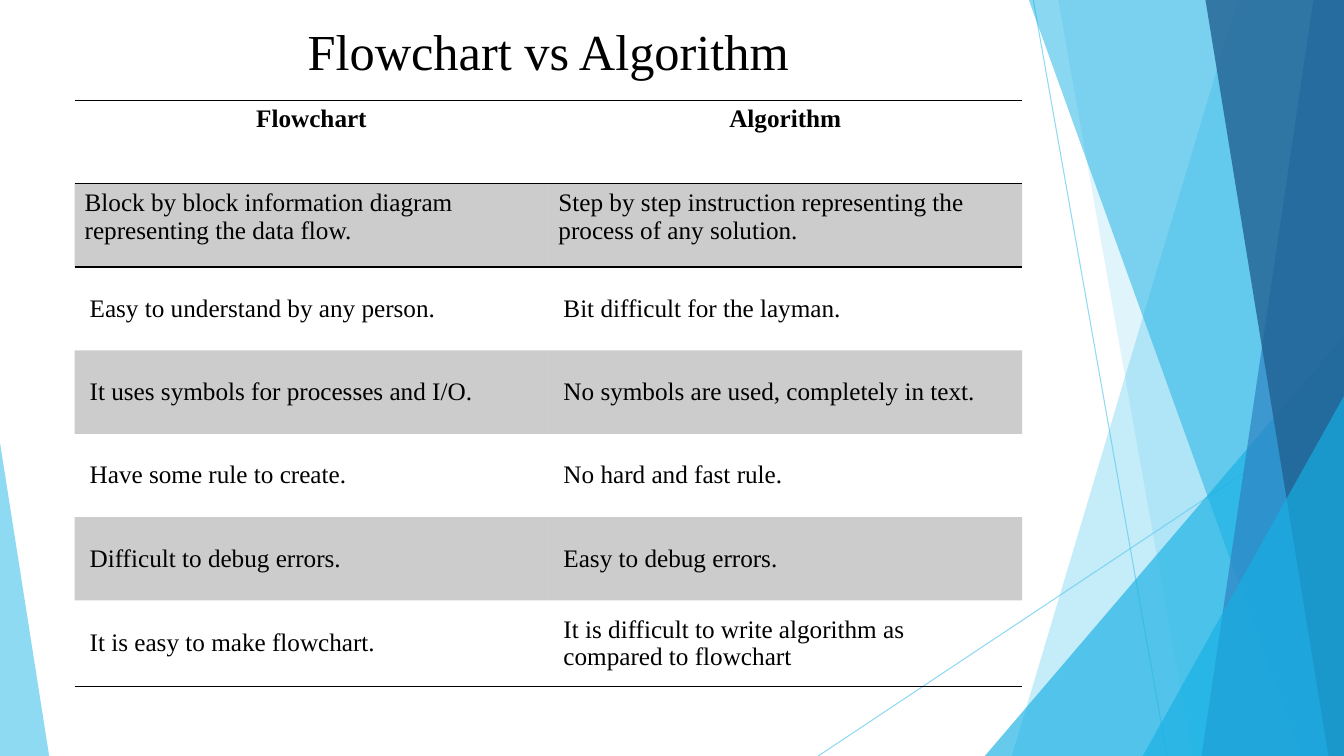
import dataclasses

import lxml.etree
import pptx
import pptx.dml.color
import pptx.enum.shapes
import pptx.enum.text
import pptx.oxml.ns
import pptx.util

Cm = pptx.util.Cm
qualified = pptx.oxml.ns.qn
Align = pptx.enum.text.PP_ALIGN
Anchor = pptx.enum.text.MSO_ANCHOR

SLIDE_WIDTH, SLIDE_HEIGHT = 33.87, 19.05
PLAIN_TABLE_STYLE = "{2D5ABB26-0587-4C30-8999-92F81FD0307C}"


@dataclasses.dataclass(frozen=True)
class Theme:
    font: str = "Times New Roman"
    title_size: int = 36
    table_size: int = 18
    ink: str = "000000"
    sky: str = "5FCBEF"
    cyan: str = "17B0E4"
    blue: str = "2E83C3"
    navy: str = "226292"
    shade_opacity: int = 20
    facet_line: float = 0.75
    table_line: float = 1


def rgb(color):
    return pptx.dml.color.RGBColor.from_string(color)


def set_opacity(element, percent):
    for color in element.iter(qualified("a:srgbClr")):
        alpha = lxml.etree.SubElement(color, qualified("a:alpha"))
        alpha.set("val", str(percent * 1000))


def write_text(frame, text, *, font, size, color, bold=False, align=Align.LEFT,
               anchor=Anchor.TOP):
    frame.word_wrap = True
    frame.vertical_anchor = anchor
    paragraph = frame.paragraphs[0]
    paragraph.alignment = align
    run = paragraph.add_run()
    run.text = text
    run.font.name = font
    run.font.size = pptx.util.Pt(size)
    run.font.bold = bold
    run.font.color.rgb = rgb(color)


class SlideBuilder:
    def __init__(self, slide, theme):
        self.slide = slide
        self.theme = theme

    def paint(self, shape, color, opacity):
        shape.shadow.inherit = False
        shape.line.fill.background()
        shape.fill.solid()
        shape.fill.fore_color.rgb = rgb(color)
        set_opacity(shape.fill._xPr, opacity)

    def line(self, start, end, color, opacity):
        connector = self.slide.shapes.add_connector(
            pptx.enum.shapes.MSO_CONNECTOR.STRAIGHT, *map(Cm, start + end))
        connector.line.color.rgb = rgb(color)
        connector.line.width = pptx.util.Pt(self.theme.facet_line)
        properties = connector._element.spPr
        set_opacity(properties, opacity)
        lxml.etree.SubElement(properties, qualified("a:effectLst"))

    def band(self, top_left, bottom_left, color, opacity):
        corners = [(SLIDE_WIDTH, 0), (SLIDE_WIDTH, SLIDE_HEIGHT), (bottom_left, SLIDE_HEIGHT)]
        outline = self.slide.shapes.build_freeform(Cm(top_left), 0)
        outline.add_line_segments([(Cm(x), Cm(y)) for x, y in corners])
        self.paint(outline.convert_to_shape(), color, opacity)

    def triangle(self, left, width, height, apex, color, opacity):
        shape = self.slide.shapes.add_shape(
            pptx.enum.shapes.MSO_SHAPE.ISOSCELES_TRIANGLE,
            Cm(left), Cm(SLIDE_HEIGHT - height), Cm(width), Cm(height))
        shape.adjustments[0] = apex
        self.paint(shape, color, opacity)

    def title(self, text, left, top, width, height):
        shape = self.slide.shapes.title
        shape.left, shape.top, shape.width, shape.height = map(Cm, (left, top, width, height))
        write_text(shape.text_frame, text, font=self.theme.font, size=self.theme.title_size,
                   color=self.theme.ink, align=Align.CENTER, anchor=Anchor.MIDDLE)

    def cell_border(self, cell, side, position):
        line = lxml.etree.Element(qualified(f"a:{side}"))
        line.set("w", str(pptx.util.Pt(self.theme.table_line)))
        fill = lxml.etree.SubElement(line, qualified("a:solidFill"))
        lxml.etree.SubElement(fill, qualified("a:srgbClr")).set("val", self.theme.ink)
        cell._tc.get_or_add_tcPr().insert(position, line)

    def table(self, rows, left, top, width, row_height):
        frame = self.slide.shapes.add_table(
            len(rows), len(rows[0]), Cm(left), Cm(top), Cm(width), Cm(row_height * len(rows)))
        table = frame.table
        table.horz_banding = False
        table._tbl.tblPr.find(qualified("a:tableStyleId")).text = PLAIN_TABLE_STYLE
        for row_index, row in enumerate(rows):
            for column_index, text in enumerate(row):
                self.fill_cell(table.cell(row_index, column_index), text, row_index, len(rows))

    def fill_cell(self, cell, text, row_index, row_count):
        header = row_index == 0
        roomy = row_index > 1
        write_text(cell.text_frame, text, font=self.theme.font, size=self.theme.table_size,
                   color=self.theme.ink, bold=header,
                   align=Align.CENTER if header else Align.LEFT)
        if roomy:
            cell.vertical_anchor = Anchor.MIDDLE
            cell.margin_left = cell.margin_right = Cm(0.38)
            cell.margin_top = cell.margin_bottom = Cm(0.38)
        if row_index % 2:
            cell.fill.solid()
            cell.fill.fore_color.rgb = rgb(self.theme.ink)
            set_opacity(cell._tc.tcPr, self.theme.shade_opacity)
        else:
            cell.fill.background()
        if header:
            self.cell_border(cell, "lnT", 0)
            self.cell_border(cell, "lnB", 1)
        elif row_index == 1:
            self.cell_border(cell, "lnT", 0)
        elif row_index == row_count - 1:
            self.cell_border(cell, "lnB", 0)


def main():
    presentation = pptx.Presentation()
    presentation.slide_width = Cm(SLIDE_WIDTH)
    presentation.slide_height = Cm(SLIDE_HEIGHT)
    theme = Theme()
    builder = SlideBuilder(presentation.slides.add_slide(presentation.slide_layouts[5]), theme)

    builder.line((26.04, 0), (29.41, SLIDE_HEIGHT), theme.sky, 70)
    builder.line((SLIDE_WIDTH, 10.24), (20.62, SLIDE_HEIGHT), theme.sky, 70)
    builder.band(31.19, 25.5, theme.sky, 36)
    builder.band(26.67, 30.05, theme.sky, 20)
    builder.triangle(24.82, 9.05, 10.59, 1, theme.cyan, 66)
    builder.band(25.93, 32.79, theme.cyan, 50)
    builder.band(33.1, 30.28, theme.blue, 70)
    builder.band(30.38, 33.48, theme.navy, 80)
    builder.triangle(28.8, 5.07, 9.07, 1, theme.cyan, 66)
    builder.triangle(0, 1.24, 7.9, 0, theme.sky, 70)

    builder.title("Flowchart vs Algorithm", 1.88, 0.33, 23.88, 1.9)
    comparison = [
        ("Flowchart", "Algorithm"),
        ("Block by block information diagram representing the data flow.",
         "Step by step instruction representing the process of any solution."),
        ("Easy to understand by any person.", "Bit difficult for the layman."),
        ("It uses symbols for processes and I/O.", "No symbols are used, completely in text."),
        ("Have some rule to create.", "No hard and fast rule."),
        ("Difficult to debug errors.", "Easy to debug errors."),
        ("It is easy to make flowchart.",
         "It is difficult to write algorithm as compared to flowchart"),
    ]
    builder.table(comparison, 1.88, 2.53, 23.88, 2.1)
    presentation.save("out.pptx")


if __name__ == "__main__":
    main()
